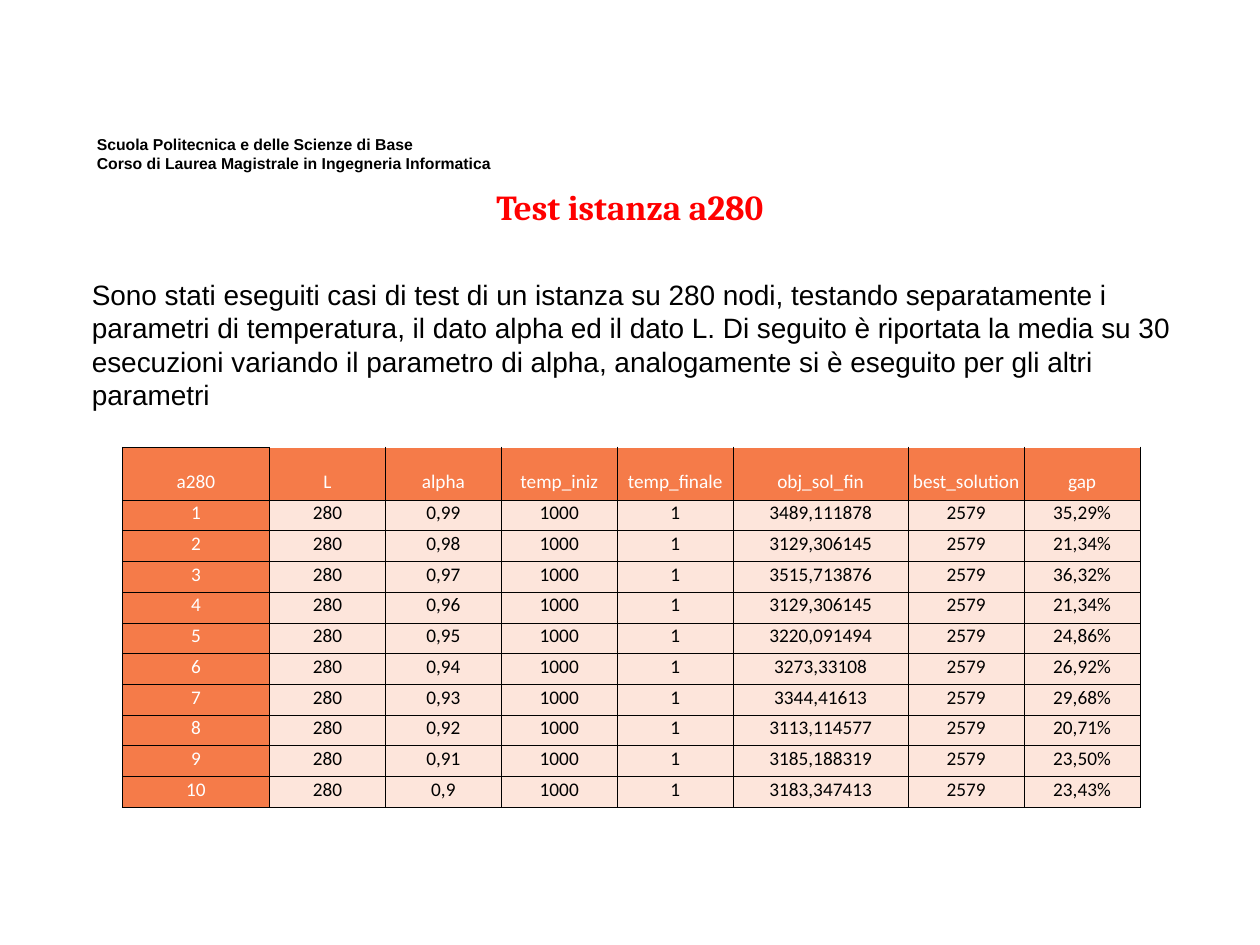
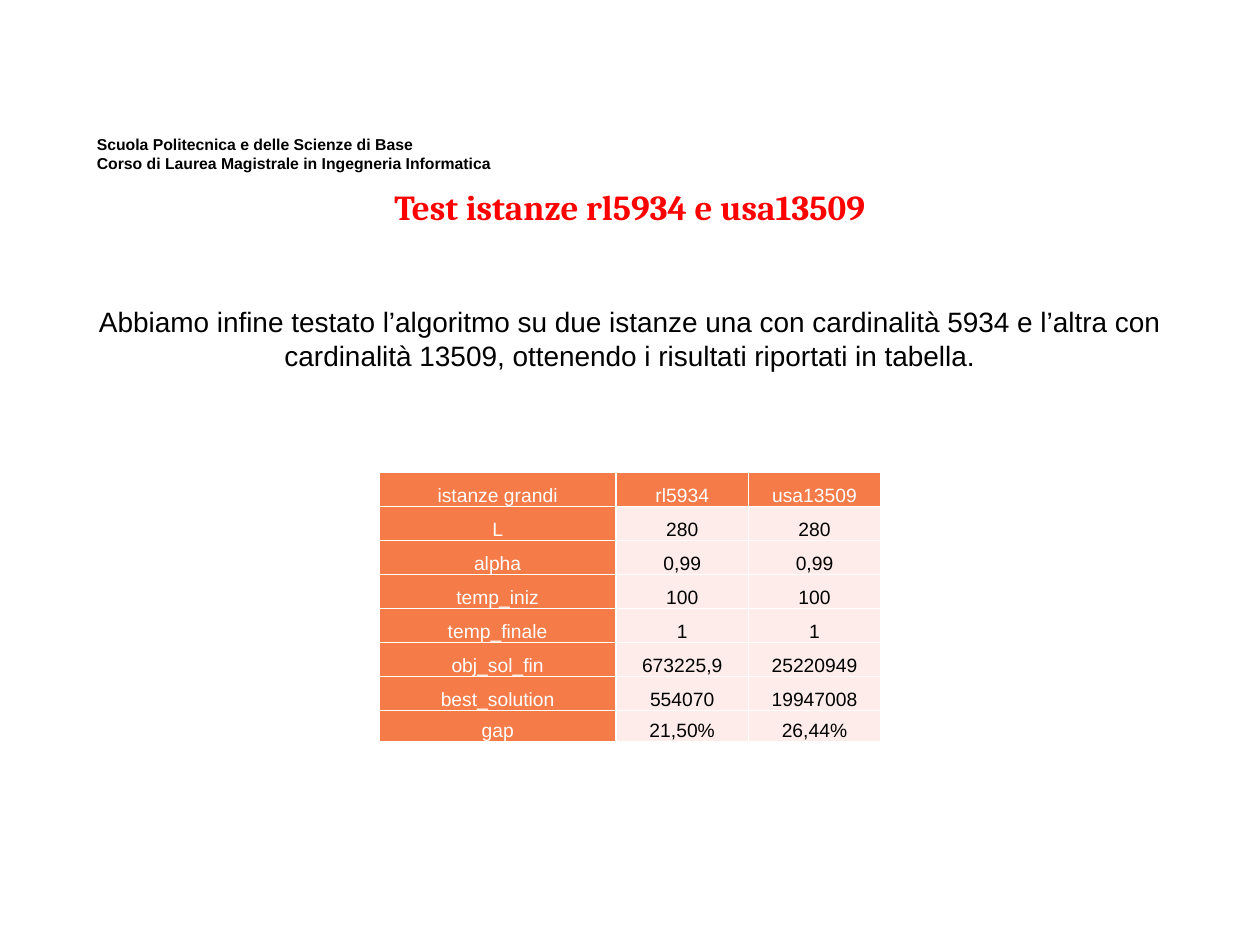
from pptx import Presentation
from pptx import util as u
from pptx.dml.color import RGBColor
from pptx.enum import text
from pptx.oxml.xmlchemy import OxmlElement

COLOURS = {
    "ink": "000000",
    "paper": "FFFFFF",
    "title": "FF0000",
    "heading": "F57B49",
    "peach": "FDE5DB",
    "rose": "FDECE9",
}

SCHOOL_FORMAT = {"name": "Arial", "size": u.Pt(9), "bold": True}
TITLE_FORMAT = {"name": "Cambria", "size": u.Pt(20), "bold": True}
INTRO_FORMAT = {"name": "Arial", "size": u.Pt(16), "bold": False}

SCHOOL_BOX = (0.67, 1.02, 4.17, 0.4)
TITLE_BOX = (0.5, 1.42, 9, 0.52)

SCHOOL = ["Scuola Politecnica e delle Scienze di Base",
          "Corso di Laurea Magistrale in Ingegneria Informatica"]

ALPHA_INTRO = ("Sono stati eseguiti casi di test di un istanza su 280 nodi, testando "
               "separatamente i parametri di temperatura, il dato alpha ed il dato L. "
               "Di seguito è riportata la media su 30 esecuzioni variando il parametro "
               "di alpha, analogamente si è eseguito per gli altri parametri")
ALPHA_HEADINGS = ["a280", "L", "alpha", "temp_iniz", "temp_finale", "obj_sol_fin",
                  "best_solution", "gap"]
ALPHA_RESULTS = [
    ("0,99", "3489,111878", "35,29%"),
    ("0,98", "3129,306145", "21,34%"),
    ("0,97", "3515,713876", "36,32%"),
    ("0,96", "3129,306145", "21,34%"),
    ("0,95", "3220,091494", "24,86%"),
    ("0,94", "3273,33108", "26,92%"),
    ("0,93", "3344,41613", "29,68%"),
    ("0,92", "3113,114577", "20,71%"),
    ("0,91", "3185,188319", "23,50%"),
    ("0,9", "3183,347413", "23,43%"),
]

LARGE_INTRO = ("Abbiamo infine testato l’algoritmo su due istanze una con cardinalità "
               "5934 e l’altra con cardinalità 13509, ottenendo i risultati riportati "
               "in tabella.")
LARGE_RESULTS = [
    ("istanze grandi", "rl5934", "usa13509"),
    ("L", "280", "280"),
    ("alpha", "0,99", "0,99"),
    ("temp_iniz", "100", "100"),
    ("temp_finale", "1", "1"),
    ("obj_sol_fin", "673225,9", "25220949"),
    ("best_solution", "554070", "19947008"),
    ("gap", "21,50%", "26,44%"),
]


def rgb(colour):
    return RGBColor.from_string(COLOURS[colour])


def inches(box):
    return [u.Inches(length) for length in box]


def write(frame, lines, font_format, colour, align):
    frame.word_wrap = True
    frame.text = "\n".join(lines)
    for paragraph in frame.paragraphs:
        paragraph.alignment = align
        font = paragraph.runs[0].font
        for attribute, value in font_format.items():
            setattr(font, attribute, value)
        font.color.rgb = rgb(colour)


def add_paragraphs(slide, box, lines, font_format, align=text.PP_ALIGN.LEFT):
    holder = slide.shapes.add_textbox(*inches(box))
    write(holder.text_frame, lines, font_format, "ink", align)
    return holder


def share_school_header(slide):
    """Place the school's name on the layout, so that every slide shows it."""
    header = add_paragraphs(slide, SCHOOL_BOX, SCHOOL, SCHOOL_FORMAT)
    slide.slide_layout.shapes._spTree.append(header._element)


def add_titled_slide(deck, heading):
    slide = deck.slides.add_slide(deck.slide_layouts[5])
    title = slide.shapes.title
    title.left, title.top, title.width, title.height = inches(TITLE_BOX)
    title.text_frame.vertical_anchor = text.MSO_ANCHOR.TOP
    write(title.text_frame, [heading], TITLE_FORMAT, "title", text.PP_ALIGN.CENTER)
    return slide


def draw_borders(cell, sides, colour, points):
    """Insert the border lines ahead of the fill, as the schema orders them."""
    properties = cell._tc.get_or_add_tcPr()
    for position, side in enumerate(sides):
        line = OxmlElement(f"a:ln{side}")
        line.set("w", str(u.Pt(points)))
        fill = OxmlElement("a:solidFill")
        shade = OxmlElement("a:srgbClr")
        shade.set("val", COLOURS[colour])
        fill.append(shade)
        line.append(fill)
        properties.insert(position, line)


def add_results(slide, origin, widths, heights, rows, style):
    """Draw a table whose first row and first column are headings."""
    box = (*origin, sum(widths), sum(heights))
    table = slide.shapes.add_table(len(rows), len(widths), *inches(box)).table
    for column, width in zip(table.columns, widths):
        column.width = u.Inches(width)
    for row, height in zip(table.rows, heights):
        row.height = u.Inches(height)

    cell_format = {
        "vertical_anchor": text.MSO_ANCHOR.BOTTOM,
        "margin_left": u.Inches(0.01),
        "margin_top": u.Inches(0.01),
        "margin_right": u.Inches(0.01),
        "margin_bottom": u.Inches(style["margin_bottom"]),
    }
    font_format = {"name": style["font"], "size": u.Pt(11), "bold": False}
    for r, values in enumerate(rows):
        for c, value in enumerate(values):
            cell = table.cell(r, c)
            is_heading = r == 0 or c == 0
            for attribute, setting in cell_format.items():
                setattr(cell, attribute, setting)
            write(cell.text_frame, [value], font_format,
                  "paper" if is_heading else "ink", text.PP_ALIGN.CENTER)
            cell.fill.solid()
            cell.fill.fore_color.rgb = rgb("heading" if is_heading else style["body"])
            open_top = style["open_top"] and r == 0 and c > 0
            draw_borders(cell, "LRB" if open_top else "LRTB", *style["border"])


def add_alpha_slide(deck):
    slide = add_titled_slide(deck, "Test istanza a280")
    share_school_header(slide)
    add_paragraphs(slide, (0.63, 2.15, 8.79, 1.18), [ALPHA_INTRO], INTRO_FORMAT)
    rows = [ALPHA_HEADINGS] + [
        [str(number), "280", alpha, "1000", "1", objective, "2579", gap]
        for number, (alpha, objective, gap) in enumerate(ALPHA_RESULTS, 1)]
    add_results(slide, (0.97, 3.55), [1.17] + [0.92] * 4 + [1.39] + [0.92] * 2,
                [0.42] + [0.24] * len(ALPHA_RESULTS), rows,
                {"font": "Calibri", "body": "peach", "border": ("ink", 0.5),
                 "margin_bottom": 0.05, "open_top": True})


def add_large_slide(deck):
    slide = add_titled_slide(deck, "Test istanze rl5934 e usa13509")
    add_paragraphs(slide, (0.5, 2.37, 9, 0.64), [LARGE_INTRO], INTRO_FORMAT,
                   text.PP_ALIGN.CENTER)
    add_results(slide, (3.01, 3.75), [1.88, 1.05, 1.05], [0.27] * 7 + [0.25],
                LARGE_RESULTS,
                {"font": "Arial", "body": "rose", "border": ("paper", 1),
                 "margin_bottom": 0, "open_top": False})


def main():
    deck = Presentation()
    deck.slide_width, deck.slide_height = inches((10, 7.5))
    add_alpha_slide(deck)
    add_large_slide(deck)
    deck.save("out.pptx")


if __name__ == "__main__":
    main()
